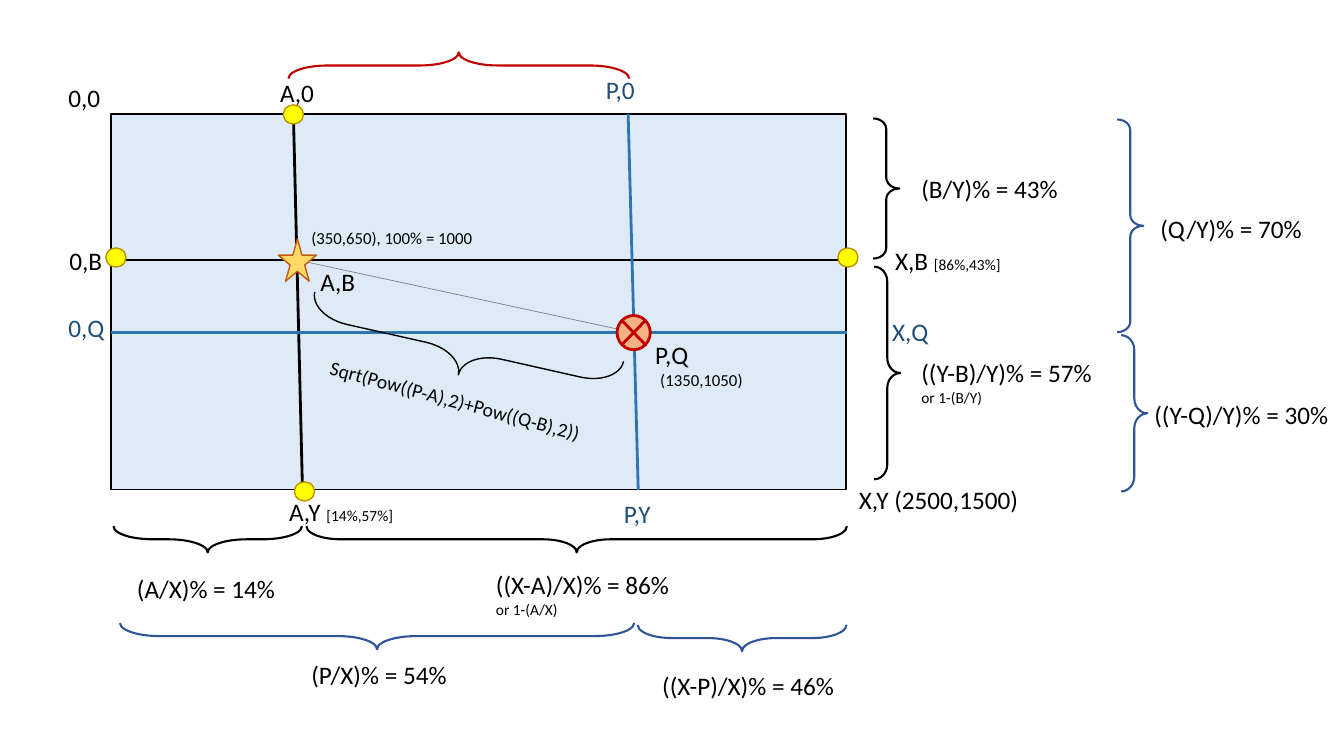
from dataclasses import dataclass

from lxml import etree
from pptx import Presentation
from pptx import util as u
from pptx.dml import color
from pptx.enum import shapes, text
from pptx.oxml import ns

COLUMNS, ROWS = 13.33, 7.5
COLORS = {
    "black": "000000", "field": "DEEBF7", "blue line": "2E75B6",
    "blue text": "1F4E79", "blue brace": "2F5597", "gray": "808080",
    "red": "C00000", "peach": "F4B183", "gold": "FFD966",
    "orange": "C55A11", "yellow": "FFFF00", "ochre": "BF9000",
}
LABEL_HEIGHTS = {18: 0.4, 14: 0.34, 12: 0.3}
LEFT, RIGHT, TOP, BOTTOM = 1.1, 8.4, 1.13, 4.86
STAR, TARGET = (2.95, 2.58), (6.29, 3.3)
KIND = shapes.MSO_SHAPE

presentation = Presentation()
presentation.slide_width = u.Inches(13.33)
presentation.slide_height = u.Inches(7.5)
slide = presentation.slides.add_slide(presentation.slide_layouts[6])


@dataclass
class Label:
    """Text with an optional small note beside or below it."""
    words: str
    column: float
    row: float
    width: float
    ink: str = "black"
    size: int = 18
    note: str = ""
    below: bool = False
    rotation: float = 0


@dataclass
class Brace:
    """Brace given by its centre, length, rotation and curvature."""
    column: float
    row: float
    length: float
    rotation: float
    curve: float
    ink: str = "black"
    depth: float = 0.26
    weight: float = 1.5
    tip: float = 0.5


@dataclass
class Marker:
    """Filled shape given by its grid box."""
    kind: int
    column: float
    row: float
    width: float
    height: float
    fill: str
    ink: str
    weight: float = 1


@dataclass
class Guide:
    """Straight line between two grid points."""
    start: tuple
    end: tuple
    ink: str = "black"
    weight: float = 2


def across(columns: float) -> int:
    """Turn grid columns into a slide length."""
    return round(presentation.slide_width * columns / COLUMNS)


def down(rows: float) -> int:
    """Turn grid rows into a slide length."""
    return round(presentation.slide_height * rows / ROWS)


def rgb(name: str) -> color.RGBColor:
    """Look up a named colour."""
    return color.RGBColor.from_string(COLORS[name])


def assign(target: object, values: dict) -> None:
    """Set every attribute listed in a dict."""
    for name, value in values.items():
        setattr(target, name, value)


def outline(shape: object, ink: str, weight: float) -> None:
    """Colour and size the line of a shape or connector."""
    shape.line.color.rgb = rgb(ink)
    shape.line.width = u.Pt(weight)


def draw_marker(marker: Marker) -> None:
    """Draw a filled shape."""
    shape = slide.shapes.add_shape(
        marker.kind, across(marker.column), down(marker.row),
        across(marker.width), down(marker.height))
    shape.shadow.inherit = False
    shape.fill.solid()
    shape.fill.fore_color.rgb = rgb(marker.fill)
    outline(shape, marker.ink, marker.weight)


def draw_guide(guide: Guide) -> None:
    """Draw a straight line without a shadow."""
    (x1, y1), (x2, y2) = guide.start, guide.end
    connector = slide.shapes.add_connector(
        shapes.MSO_CONNECTOR.STRAIGHT, across(x1), down(y1), across(x2), down(y2))
    outline(connector, guide.ink, guide.weight)
    etree.SubElement(connector._element.spPr, ns.qn("a:effectLst"))


def draw_brace(brace: Brace) -> None:
    """Draw a left brace turned about its centre."""
    shape = slide.shapes.add_shape(
        KIND.LEFT_BRACE, across(brace.column - brace.depth / 2),
        down(brace.row - brace.length / 2), across(brace.depth), down(brace.length))
    shape.shadow.inherit = False
    shape.fill.background()
    shape.rotation = brace.rotation
    shape.adjustments[0], shape.adjustments[1] = brace.curve, brace.tip
    outline(shape, brace.ink, brace.weight)


def write_run(paragraph: object, words: str, size: int, ink: str) -> None:
    """Add one formatted run to a paragraph."""
    run = paragraph.add_run()
    run.text = words
    assign(run.font, {"name": "Calibri", "size": u.Pt(size)})
    run.font.color.rgb = rgb(ink)


def draw_label(label: Label) -> None:
    """Write a label and its note."""
    height = 0.61 if label.below else LABEL_HEIGHTS[label.size]
    shape = slide.shapes.add_textbox(
        across(label.column), down(label.row), across(label.width), down(height))
    shape.rotation = label.rotation
    frame = shape.text_frame
    assign(frame, {"word_wrap": False,
                   "auto_size": text.MSO_AUTO_SIZE.SHAPE_TO_FIT_TEXT})
    paragraph = frame.paragraphs[0]
    write_run(paragraph, label.words, label.size, label.ink)
    if label.note:
        paragraph = frame.add_paragraph() if label.below else paragraph
        write_run(paragraph, label.note, 11, label.ink)


GUIDES = [
    Guide((2.91, TOP), (3, BOTTOM)),
    Guide((LEFT, STAR[1]), (RIGHT, STAR[1])),
    Guide((6.23, TOP), (6.33, BOTTOM), "blue line"),
    Guide((LEFT, TARGET[1]), (RIGHT, TARGET[1]), "blue line"),
    Guide(STAR, TARGET, "gray", 0.5),
]
BRACES = [
    Brace(2.06, 5.35, 1.87, 270, 1.5),
    Brace(5.72, 5.35, 5.36, 270, 1.3),
    Brace(8.79, 1.87, 1.39, 180, 0.41),
    Brace(8.8, 3.7, 2.11, 180, 0.57),
    Brace(4.6, 3.48, 3.14, 282.7, 0.78, depth=0.49, weight=1),
    Brace(3.74, 6.31, 5.1, 270, 1.5, "blue brace"),
    Brace(7.36, 6.33, 2.07, 270, 1.3, "blue brace"),
    Brace(11.21, 2.24, 2.11, 180, 0.41, "blue brace"),
    Brace(11.25, 4.1, 1.55, 180, 0.57, "blue brace"),
    Brace(4.55, 0.65, 3.38, 90, 1.5, "red"),
]
LABELS = [
    Label("0,0", 0.58, 0.77, 0.52),
    Label("X,Y (2500,1500)", 8.42, 4.76, 1.8),
    Label("A,0", 2.68, 0.72, 0.54),
    Label("0,B", 0.59, 2.38, 0.53),
    Label("(350,650), 100% = 1000", 2.99, 2.21, 1.83, size=12),
    Label("A,B", 3.08, 2.59, 0.55),
    Label("(A/X)% = 14%", 1.26, 5.64, 1.59),
    Label("((X-A)/X)% = 86%", 4.82, 5.6, 1.95, note="or 1-(A/X)", below=True),
    Label("(B/Y)% = 43%", 9.04, 1.67, 1.57),
    Label("((Y-B)/Y)% = 57%", 9.04, 3.5, 1.93, note="or 1-(B/Y)", below=True),
    Label("A,Y ", 2.77, 4.87, 1.24, note="[14%,57%]"),
    Label("X,B ", 8.78, 2.38, 1.26, note="[86%,43%]"),
    Label("P,Q", 6.4, 3.32, 0.53),
    Label("Sqrt(Pow((P-A),2)+Pow((Q-B),2))", 3.14, 3.81, 2.78, size=14, rotation=14.9),
    Label("P,0", 5.91, 0.69, 0.49, "blue text"),
    Label("0,Q", 0.58, 3.05, 0.56, "blue text"),
    Label("X,Q", 8.75, 3.09, 0.57, "blue text"),
    Label("P,Y", 6.09, 4.89, 0.47, "blue text"),
    Label("(1350,1050)", 6.45, 3.62, 1.03, size=12),
    Label("(P/X)% = 54%", 2.99, 6.49, 1.56),
    Label("((X-P)/X)% = 46%", 6.47, 6.6, 1.94),
    Label("(Q/Y)% = 70%", 11.41, 2.07, 1.62),
    Label("((Y-Q)/Y)% = 30%", 11.35, 3.91, 1.96),
]
EDGE_POINTS = [(2.81, 1.04), (2.92, 4.78), (1.05, 2.46), (8.31, 2.46)]
MARKERS = [
    Marker(KIND.STAR_5_POINT, 2.76, 2.37, 0.38, 0.42, "gold", "orange"),
    Marker(KIND.FLOWCHART_SUMMING_JUNCTION, 6.12, 3.13, 0.33, 0.34, "peach", "red", 2),
] + [Marker(KIND.FLOWCHART_CONNECTOR, column, row, 0.2, 0.19, "yellow", "ochre")
     for column, row in EDGE_POINTS]

draw_marker(Marker(KIND.RECTANGLE, LEFT, TOP, 7.29, BOTTOM - TOP, "field", "black"))
for draw, items in ((draw_guide, GUIDES), (draw_brace, BRACES),
                    (draw_label, LABELS), (draw_marker, MARKERS)):
    for item in items:
        draw(item)

presentation.save("out.pptx")
